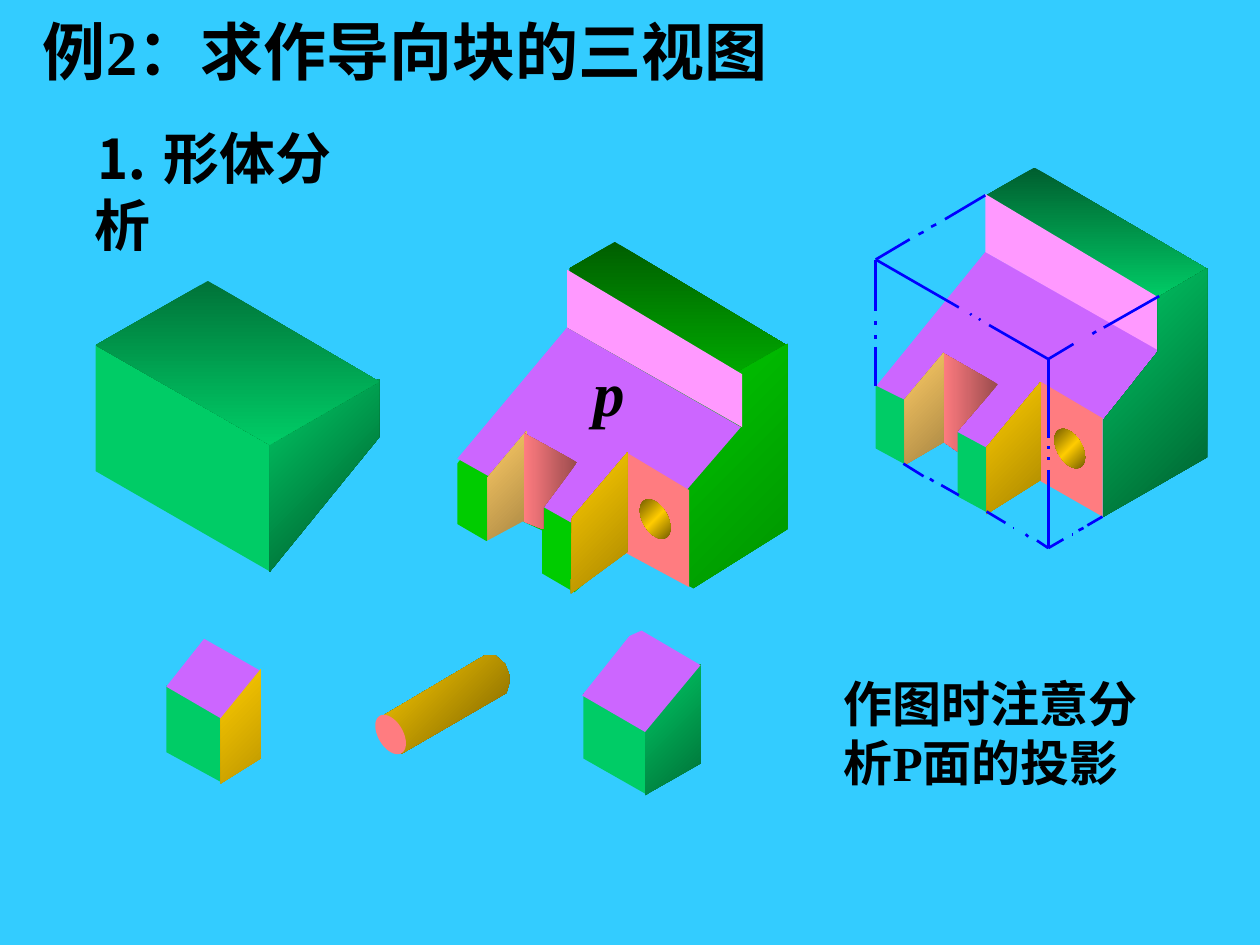
import math

import pptx
import pptx.dml.color
import pptx.enum.shapes
import pptx.enum.text
import pptx.oxml.ns
import pptx.util
from lxml import etree

UNIT = 2.54  # centimetres in one drawing unit
SKY, GREEN, LEAF = "33CCFF", "00CC66", "00CC00"
PURPLE, PINK, CORAL = "CC66FF", "FF99FF", "FF7C80"

# Gradients: clockwise angle, then the colours at equal steps
GREEN_TOP = (90, "005E2F", GREEN)
GREEN_SIDE = (225, "005E2F", GREEN)
SAND = (225, "A98743", "FFCC66")
GOLD = (225, "A98700", "FFCC00")
ROSE = (180, "9A4B4D", CORAL)
BORE = (225, "755E00", "FFCC00", "755E00")


def color(value):
    return pptx.dml.color.RGBColor.from_string(value)


def length(units):
    return pptx.util.Cm(units * UNIT)


def isometric_circle(x, y, radius=0.14, steps=36):
    """Circle on a face whose horizontal edges fall 30 degrees to the right."""
    angles = [2 * math.pi * step / steps for step in range(steps)]
    return [(x + radius * math.cos(a) * 0.87,
             y + radius * (math.sin(a) + math.cos(a) / 2)) for a in angles]


class Drawing:
    font_name = "Times New Roman"
    text_color = "000000"
    line_color = "0000FF"
    line_width = 1.5

    def __init__(self, slide):
        self.slide = slide
        slide.background.fill.solid()
        slide.background.fill.fore_color.rgb = color(SKY)

    def set_text(self, shape, box, text, size, wrap=False, italic=False):
        shape.left, shape.top, shape.width, shape.height = map(length, box)
        frame = shape.text_frame
        frame.text = text
        frame.word_wrap = wrap
        frame.auto_size = pptx.enum.text.MSO_AUTO_SIZE.SHAPE_TO_FIT_TEXT
        frame.vertical_anchor = pptx.enum.text.MSO_ANCHOR.TOP
        paragraph = frame.paragraphs[0]
        paragraph.alignment = pptx.enum.text.PP_ALIGN.LEFT
        font = paragraph.runs[0].font
        font.name, font.size = self.font_name, pptx.util.Pt(size)
        font.bold, font.italic = True, italic
        font.color.rgb = color(self.text_color)

    def title(self, box, text, size):
        self.set_text(self.slide.shapes.title, box, text, size)

    def text(self, box, text, size, **style):
        shape = self.slide.shapes.add_textbox(*map(length, box))
        self.set_text(shape, box, text, size, **style)

    def face(self, fill, points):
        points = [(length(x), length(y)) for x, y in points]
        builder = self.slide.shapes.build_freeform(*points[0])
        builder.add_line_segments(points[1:], close=True)
        shape = builder.convert_to_shape()
        shape.shadow.inherit = False
        shape.line.fill.background()
        if isinstance(fill, str):
            shape.fill.solid()
            shape.fill.fore_color.rgb = color(fill)
        else:
            self.gradient(shape, *fill)

    def gradient(self, shape, angle, *colors):
        shape.fill.gradient()
        shape.fill.gradient_angle = 360 - angle
        qn = pptx.oxml.ns.qn
        stops = next(shape._element.spPr.iter(qn("a:gsLst")))
        for stop in list(stops):
            stops.remove(stop)
        for index, value in enumerate(colors):
            position = str(100000 * index // (len(colors) - 1))
            stop = etree.SubElement(stops, qn("a:gs"), pos=position)
            etree.SubElement(stop, qn("a:srgbClr"), val=value)

    def faces(self, items):
        for fill, points in items:
            self.face(fill, points)

    def line(self, *ends):
        connector = self.slide.shapes.add_connector(
            pptx.enum.shapes.MSO_CONNECTOR.STRAIGHT, *map(length, ends))
        connector.line.color.rgb = color(self.line_color)
        connector.line.width = pptx.util.Pt(self.line_width)
        etree.SubElement(connector._element.spPr,
                         pptx.oxml.ns.qn("a:effectLst"))


# Guide block at the right
GUIDE_BLOCK = [
    (PURPLE, [(7.82, 2), (6.95, 3.07), (7.19, 3.18), (7.49, 2.84),
              (7.91, 3.05), (7.57, 3.42), (7.84, 3.56), (8.27, 3.04),
              (8.76, 3.33), (9.2, 2.78)]),
    (CORAL, [(8.26, 3.03), (8.75, 3.32), (8.75, 4.1), (8.26, 3.82)]),
    (ROSE, [(7.48, 2.8), (7.92, 3.05), (7.6, 3.42), (7.61, 3.59),
            (7.48, 3.5)]),
    (GREEN_TOP, [(7.83, 1.55), (8.21, 1.33), (9.59, 2.14), (9.2, 2.37)]),
    (PINK, [(7.82, 1.54), (7.82, 2), (9.21, 2.79), (9.21, 2.37)]),
    (GREEN_SIDE, [(9.58, 2.13), (9.58, 3.63), (8.76, 4.1), (8.76, 3.33),
                  (9.19, 2.79), (9.19, 2.36)]),
    (GREEN, [(6.95, 3.06), (7.19, 3.18), (7.19, 3.69), (6.95, 3.56)]),
    (GREEN, [(7.6, 3.43), (7.84, 3.56), (7.84, 4.07), (7.6, 3.94)]),
    (SAND, [(7.18, 3.17), (7.49, 2.8), (7.49, 3.51), (7.18, 3.69)]),
    (BORE, isometric_circle(8.49, 3.56)),
    (GOLD, [(7.83, 3.55), (7.83, 4.08), (8.26, 3.81), (8.26, 3.03)]),
]

# Block in the middle, with the pieces cut away from it
CUT_BLOCK = [
    ((90, "005E00", LEAF),
     [(4.88, 1.92), (3.63, 2.65), (5.02, 3.45), (6.26, 2.75)]),
    ((225, "008F00", LEAF),
     [(6.25, 2.73), (6.25, 4.2), (5.02, 4.97), (5.02, 3.43)]),
    (LEAF, [(3.63, 2.64), (3.63, 4.16), (5.02, 4.97), (5.02, 3.45)]),
]
UPPER_PIECE = [
    (GREEN, [(0.76, 2.74), (0.76, 3.74), (2.15, 4.54), (2.15, 3.53)]),
    ((225, "005329", GREEN),
     [(2.14, 3.46), (2.14, 4.54), (3.01, 3.47), (3.01, 3.01)]),
    ((90, "007339", GREEN),
     [(0.76, 2.74), (1.65, 2.23), (3.01, 3.03), (2.14, 3.53)]),
]
UPPER_CUT = [
    (SKY, [(4.52, 2.11), (4.5, 2.62), (3.61, 3.7), (3.44, 2.5), (3.5, 2.27)]),
    (PINK, [(4.5, 2.14), (4.5, 2.6), (5.89, 3.39), (5.89, 2.97)]),
    (PURPLE, [(4.5, 2.6), (5.88, 3.39), (5, 4.41), (3.63, 3.64)]),
]
CORNER_PIECE = [
    (GREEN, [(4.63, 5.5), (4.63, 6.02), (5.14, 6.31), (5.14, 5.78)]),
    ((225, "006F37", GREEN),
     [(5.56, 5.27), (5.56, 6.06), (5.12, 6.31), (5.12, 5.72)]),
    (PURPLE, [(5.05, 4.98), (5.56, 5.28), (5.12, 5.81), (4.62, 5.52)]),
]
CORNER_CUT = [
    (SKY, [(4.94, 4.37), (5.65, 4.75), (4.9, 5.09), (4.46, 4.79)]),
    (CORAL, [(4.97, 3.59), (5.47, 3.89), (5.47, 4.66), (4.97, 4.39)]),
    (GOLD, [(4.54, 4.11), (4.53, 4.71), (4.98, 4.38), (4.98, 3.59)]),
]
CYLINDER_AND_HOLE = [
    ((225, "755E00", "FFCC00"),
     [(3.04, 5.68), (3.85, 5.2), (3.93, 5.2), (4.01, 5.27), (4.04, 5.35),
      (4.04, 5.43), (4.02, 5.5), (3.19, 5.98)]),
    (CORAL, isometric_circle(3.1, 5.83)),
    (BORE, isometric_circle(5.2, 4.12)),
]
SLOT_PIECE_AND_CUT = [
    (GREEN, [(1.32, 5.44), (1.77, 5.7), (1.76, 6.21), (1.32, 5.97)]),
    ((225, "BD9700", "FFCC00"),
     [(2.07, 5.31), (1.75, 5.69), (1.75, 6.22), (2.07, 6.02)]),
    (PURPLE, [(1.62, 5.07), (1.32, 5.45), (1.75, 5.7), (2.06, 5.32)]),
    (SAND, [(3.87, 3.79), (4.18, 3.42), (4.18, 4.13), (3.87, 4.31)]),
    (SKY, [(4.15, 4.14), (3.76, 4.35), (4.3, 4.61), (4.3, 4.21)]),
    (ROSE, [(4.16, 3.44), (4.58, 3.67), (4.31, 4.03), (4.31, 4.2),
            (4.16, 4.14)]),
]

# Dashes of the box around the guide block, edge by edge
BOX_DASHES = [
    (7.82, 1.55, 7.5, 1.74), (7.43, 1.78, 7.39, 1.8),
    (7.33, 1.84, 7.29, 1.86), (7.22, 1.9, 6.95, 2.06),
    (6.95, 2.06, 7.61, 2.44), (7.7, 2.49, 7.71, 2.5),
    (7.77, 2.53, 7.78, 2.54), (7.85, 2.58, 8.32, 2.85),
    (9.2, 2.35, 8.76, 2.6), (8.7, 2.63, 8.67, 2.65), (8.52, 2.73, 8.32, 2.85),
    (6.95, 2.06, 6.95, 2.47), (6.95, 2.55, 6.95, 2.58),
    (6.95, 2.66, 6.95, 2.69), (6.95, 2.75, 6.95, 3.06),
    (8.32, 2.85, 8.32, 3.48), (8.32, 3.54, 8.32, 3.56),
    (8.32, 3.63, 8.32, 3.65), (8.32, 3.73, 8.32, 4.35),
    (7.17, 3.68, 7.33, 3.78), (7.38, 3.8, 7.41, 3.82),
    (7.47, 3.85, 7.61, 3.93), (7.83, 4.06, 7.98, 4.15),
    (8.04, 4.19, 8.05, 4.19), (8.14, 4.24, 8.16, 4.26),
    (8.23, 4.29, 8.32, 4.35), (8.32, 4.35, 8.44, 4.28),
    (8.51, 4.24, 8.52, 4.24), (8.56, 4.21, 8.6, 4.19), (8.63, 4.17, 8.75, 4.1),
]


def main():
    presentation = pptx.Presentation()
    presentation.slide_width = pptx.util.Cm(25.4)
    presentation.slide_height = pptx.util.Cm(19.05)
    drawing = Drawing(presentation.slides.add_slide(presentation.slide_layouts[5]))
    drawing.title((0.24, 0.05, 6.19, 0.7), "例2：求作导向块的三视图", 36)
    for part in (GUIDE_BLOCK, CUT_BLOCK, UPPER_PIECE, UPPER_CUT, CORNER_PIECE,
                 CORNER_CUT, CYLINDER_AND_HOLE):
        drawing.faces(part)
    drawing.text((0.65, 0.93, 2.52, 0.64), "⒈ 形体分析", 32)
    drawing.faces(SLOT_PIECE_AND_CUT)
    for dash in BOX_DASHES:
        drawing.line(*dash)
    drawing.text((4.61, 2.76, 0.45, 0.7), "p", 36, italic=True)
    drawing.text((6.6, 5.3, 2.64, 1.04), "作图时注意分析P面的投影", 28, wrap=True)
    presentation.save("out.pptx")


if __name__ == "__main__":
    main()
